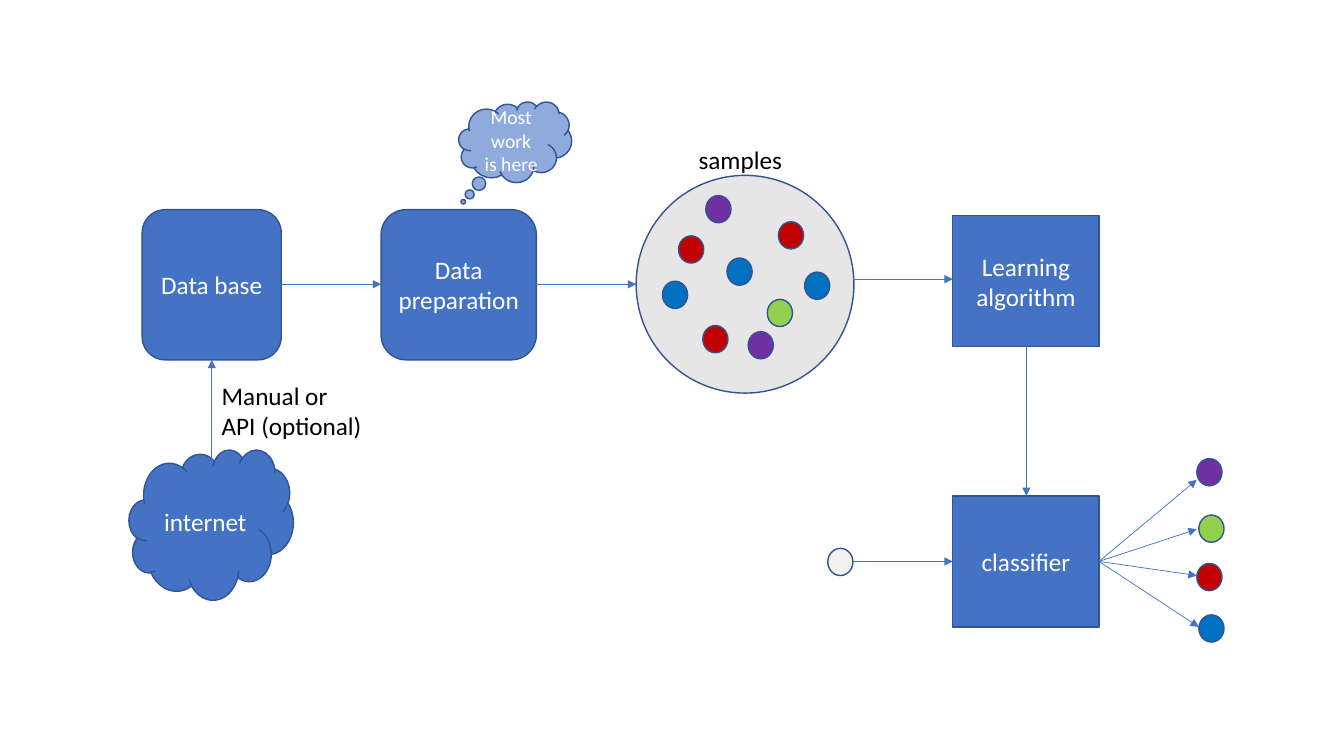
from lxml.etree import SubElement
from pptx import Presentation
from pptx.dml.color import RGBColor
from pptx.enum.shapes import MSO_CONNECTOR as Link, MSO_SHAPE as Shape
from pptx.enum.text import MSO_ANCHOR as Anchor, PP_ALIGN as Align
from pptx.oxml.ns import qn
from pptx.util import Inches, Pt

BLUE = RGBColor(0x44, 0x72, 0xC4)
OUTLINE = RGBColor(0x32, 0x54, 0x91)
PALE_BLUE = RGBColor(0x8F, 0xAA, 0xDC)
GRAY = RGBColor(0xE7, 0xE6, 0xE6)
UNLABELED = RGBColor(0xF2, 0xF2, 0xF2)
PURPLE = RGBColor(0x70, 0x30, 0xA0)
RED = RGBColor(0xC0, 0x00, 0x00)
SKY = RGBColor(0x00, 0x70, 0xC0)
GREEN = RGBColor(0x92, 0xD0, 0x50)
WHITE = RGBColor(0xFF, 0xFF, 0xFF)
BLACK = RGBColor(0x00, 0x00, 0x00)


def write(frame, text, size=18, color=WHITE, align=Align.CENTER,
          anchor=Anchor.MIDDLE, font="Calibri"):
    """Fill a text frame, one paragraph per line of text."""
    frame.word_wrap = True
    frame.vertical_anchor = anchor
    frame.text = text
    for paragraph in frame.paragraphs:
        paragraph.alignment = align
        paragraph.font.size = Pt(size)
        paragraph.font.name = font
        paragraph.font.color.rgb = color


class Diagram:
    """Holds the slide and the shared style of its elements."""

    dot_width, dot_height = 0.25, 0.27

    def __init__(self, slide):
        """Draw on the given slide."""
        self.shapes = slide.shapes

    def node(self, kind, box, text="", fill=BLUE, size=18):
        """Add an outlined shape with an optional centred label."""
        node = self.shapes.add_shape(kind, *map(Inches, box))
        node.shadow.inherit = False
        node.fill.solid()
        node.fill.fore_color.rgb = fill
        node.line.color.rgb = OUTLINE
        node.line.width = Pt(1)
        if text:
            write(node.text_frame, text, size=size)
        return node

    def dot(self, left, top, color):
        """Add one sample dot."""
        self.node(Shape.OVAL, (left, top, self.dot_width, self.dot_height), fill=color)

    def label(self, box, text):
        """Add a black caption without outline."""
        caption = self.shapes.add_textbox(*map(Inches, box))
        write(caption.text_frame, text, color=BLACK, align=Align.LEFT, anchor=Anchor.TOP)

    def arrow(self, start, end):
        """Add a thin straight arrow from start to end."""
        arrow = self.shapes.add_connector(Link.STRAIGHT, *map(Inches, start + end))
        arrow.line.color.rgb = BLUE
        arrow.line.width = Pt(0.5)
        SubElement(arrow.line._get_or_add_ln(), qn("a:tailEnd"), type="triangle")
        SubElement(arrow._element.spPr, qn("a:effectLst"))


deck = Presentation()
deck.slide_width, deck.slide_height = Inches(13.33), Inches(7.5)
diagram = Diagram(deck.slides.add_slide(deck.slide_layouts[6]))

# Data collection and preparation
diagram.node(Shape.CLOUD, (1.28, 4.46, 1.63, 1.49), "internet")
diagram.node(Shape.ROUNDED_RECTANGLE, (1.41, 2.08, 1.38, 1.49), "Data base")
diagram.arrow((2.1, 4.55), (2.1, 3.57))
diagram.label((2.1, 3.72, 1.72, 0.71), "Manual or\nAPI (optional)")
diagram.node(Shape.ROUNDED_RECTANGLE, (3.78, 2.08, 1.54, 1.49), "Data preparation")
diagram.arrow((2.79, 2.82), (3.78, 2.82))
remark = diagram.node(Shape.CLOUD_CALLOUT, (4.55, 1.01, 1.12, 0.8),
                      "Most work is here", fill=PALE_BLUE, size=14)
remark.adjustments[0], remark.adjustments[1] = -0.46, 0.74

# Labeled samples
diagram.node(Shape.OVAL, (6.31, 1.74, 2.16, 2.16), fill=GRAY)
diagram.arrow((5.32, 2.82), (6.31, 2.82))
samples = {
    PURPLE: [(7, 1.94), (7.42, 3.29)],
    RED: [(6.73, 2.34), (7.72, 2.2), (6.97, 3.23)],
    SKY: [(7.21, 2.56), (7.98, 2.7), (6.57, 2.79)],
    GREEN: [(7.61, 2.97)],
}
for color, places in samples.items():
    for left, top in places:
        diagram.dot(left, top, color)
diagram.label((6.83, 1.38, 1.12, 0.4), "samples")

# Learning and classification
for top, step in ((2.14, "Learning algorithm"), (4.92, "classifier")):
    diagram.node(Shape.RECTANGLE, (9.45, top, 1.45, 1.3), step)
diagram.arrow((8.46, 2.77), (9.45, 2.77))
diagram.arrow((10.18, 3.44), (10.18, 4.92))
diagram.dot(8.21, 5.44, UNLABELED)
diagram.arrow((8.46, 5.57), (9.45, 5.57))

# Predicted classes: dot position, height of the arrow tip, colour
predictions = [
    (11.87, 4.55, 4.76, PURPLE),
    (11.89, 5.11, 5.25, GREEN),
    (11.87, 5.59, 5.71, RED),
    (11.89, 6.1, 6.22, SKY),
]
for left, top, tip, color in predictions:
    diagram.arrow((10.9, 5.57), (min(left, 11.87) if color != SKY else left, tip))
    diagram.dot(left, top, color)

deck.save("out.pptx")
